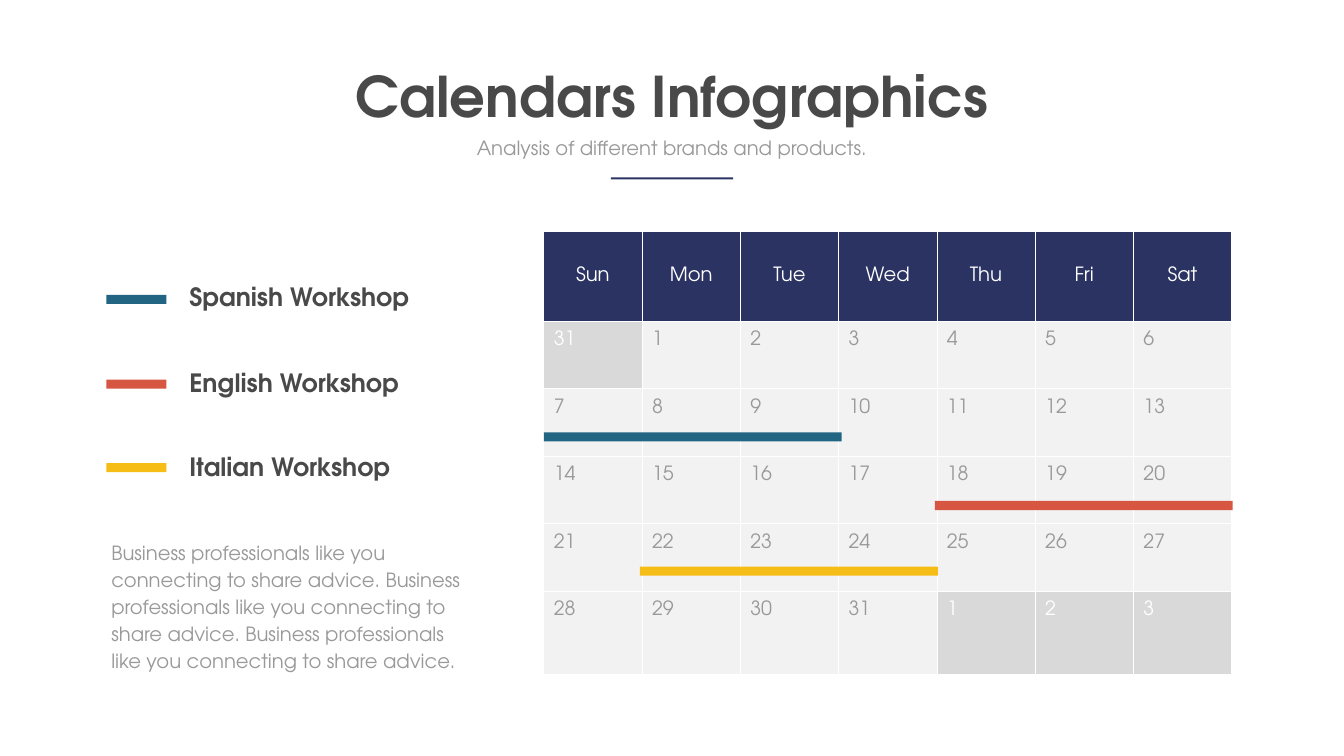
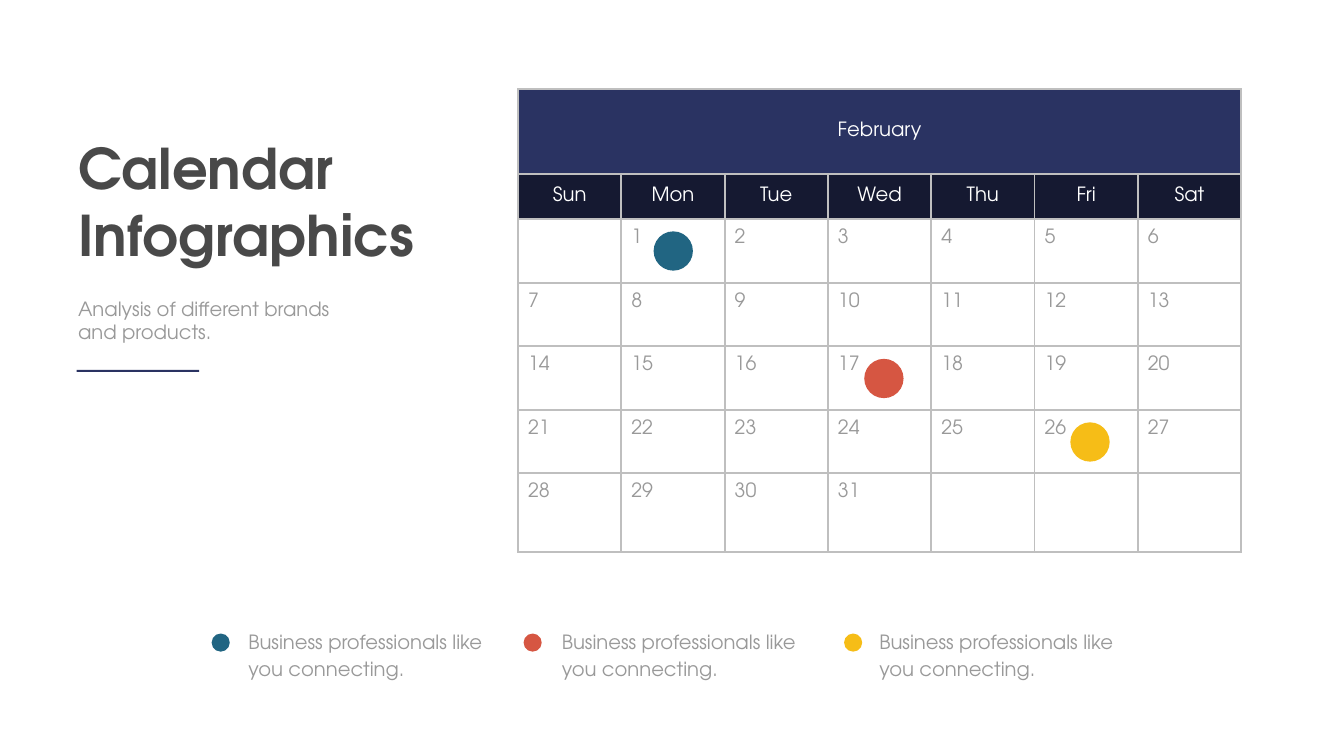
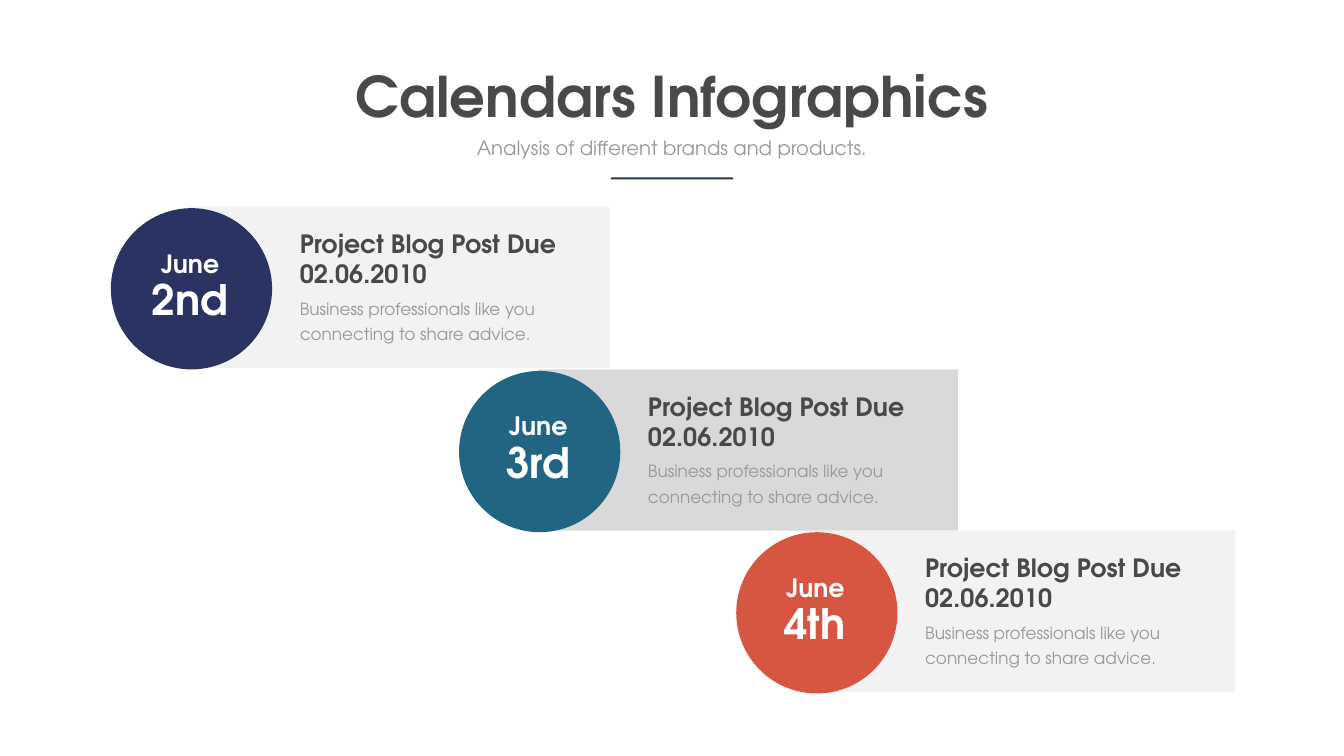
from dataclasses import dataclass

from lxml import etree
from pptx import Presentation
from pptx import util as u
from pptx.dml.color import RGBColor
from pptx.enum import shapes, text
from pptx.oxml.ns import qn


@dataclass(frozen=True)
class Theme:
    font: str = "TeX Gyre Adventor"
    # Colours
    white: str = "FFFFFF"
    dark: str = "494949"
    grey: str = "999999"
    navy: str = "2A3362"
    midnight: str = "151931"
    teal: str = "216582"
    red: str = "D65642"
    yellow: str = "F6BD17"
    pale: str = "F2F2F2"
    muted: str = "D9D9D9"
    rule: str = "BFBFBF"
    # Type sizes and line spacing in points
    title: int = 80
    ordinal: int = 60
    heading: int = 36
    body: int = 28
    small: int = 24
    body_spacing: float = 38.6
    small_spacing: float = 36.6


THEME = Theme()
ACCENTS = (THEME.teal, THEME.red, THEME.yellow)
RECT = shapes.MSO_SHAPE.RECTANGLE
OVAL = shapes.MSO_SHAPE.OVAL
CENTER = text.PP_ALIGN.CENTER
WEEKDAYS = ("Sun", "Mon", "Tue", "Wed", "Thu", "Fri", "Sat")
MONTH_DAYS = 31
SUBTITLE = "Analysis of different brands and products."
SENTENCE = "Business professionals like you connecting to share advice."


# Basic elements
def add_block(parent, kind, left, top, width, height, color):
    shape = parent.shapes.add_shape(
        kind, u.Inches(left), u.Inches(top), u.Inches(width), u.Inches(height))
    shape.shadow.inherit = False
    shape.fill.solid()
    shape.fill.fore_color.rgb = RGBColor.from_string(color)
    shape.line.fill.background()


def style_paragraph(para, size, color, bold=False, align=None, spacing=None):
    para.alignment = align
    if spacing:
        para.line_spacing = u.Pt(spacing)
    para.font.name = THEME.font
    para.font.size = u.Pt(size)
    para.font.bold = bold
    para.font.color.rgb = RGBColor.from_string(color)


def add_text(parent, words, left, top, width, height, size, color, wrap=True, **style):
    box = parent.shapes.add_textbox(
        u.Inches(left), u.Inches(top), u.Inches(width), u.Inches(height))
    frame = box.text_frame
    frame.word_wrap = wrap
    frame.auto_size = text.MSO_AUTO_SIZE.SHAPE_TO_FIT_TEXT
    frame.text = words
    for para in frame.paragraphs:
        style_paragraph(para, size, color, **style)


def add_underline(parent, left, top):
    add_block(parent, RECT, left, top, 2.43, 0.04, THEME.navy)


def add_centered_title(page):
    add_text(page, "Calendars Infographics", 6.89, 1.17, 12.89, 1.45,
             THEME.title, THEME.dark, wrap=False, bold=True, align=CENTER)
    add_text(page, SUBTITLE, 8.55, 2.65, 9.56, 0.57,
             THEME.body, THEME.grey, align=CENTER)
    add_underline(page, 12.12, 3.52)


# Calendar table
def set_borders(cell, color, points):
    properties = cell._tc.get_or_add_tcPr()
    for position, side in enumerate(("lnL", "lnR", "lnT", "lnB")):
        line = etree.Element(qn(f"a:{side}"), w=str(u.Pt(points)))
        fill = etree.SubElement(line, qn("a:solidFill"))
        etree.SubElement(fill, qn("a:srgbClr"), val=color)
        properties.insert(position, line)


def fill_cell(cell, words, fill, color, margins, align=None):
    cell.fill.solid()
    cell.fill.fore_color.rgb = RGBColor.from_string(fill)
    cell.margin_left, cell.margin_top, cell.margin_right, cell.margin_bottom = (
        u.Inches(margin) for margin in margins)
    if align == CENTER:
        cell.vertical_anchor = text.MSO_ANCHOR.MIDDLE
    cell.text = words
    style_paragraph(cell.text_frame.paragraphs[0], THEME.body, color, align=align)


def fill_header(cell, words, fill):
    fill_cell(cell, words, fill, THEME.white, (0.14, 0.07, 0.14, 0.07), CENTER)


def add_calendar(page, left, top, column_width, row_heights, border,
                 weekday_fill, day_fill, month=None, show_neighbours=False):
    width = column_width * len(WEEKDAYS)
    table = page.shapes.add_table(
        len(row_heights), len(WEEKDAYS), u.Inches(left), u.Inches(top),
        u.Inches(width), u.Inches(sum(row_heights))).table
    table.first_row = table.horz_banding = False
    for column in table.columns:
        column.width = u.Inches(column_width)
    for row, height in zip(table.rows, row_heights):
        row.height = u.Inches(height)

    header = 0
    if month:
        for column in range(len(WEEKDAYS)):
            fill_header(table.cell(0, column), "", THEME.navy)
        table.cell(0, 0).merge(table.cell(0, len(WEEKDAYS) - 1))
        fill_header(table.cell(0, 0), month, THEME.navy)
        header = 1
    for column, name in enumerate(WEEKDAYS):
        fill_header(table.cell(header, column), name, weekday_fill)

    # The first of the month falls on Monday
    last_row = len(row_heights) - 1
    for row in range(header + 1, last_row + 1):
        margins = (0.2, 0.2, 0.14, 0.07) if row == last_row else (0.2, 0.2, 0.1, 0.05)
        for column in range(len(WEEKDAYS)):
            day = (row - header - 1) * len(WEEKDAYS) + column
            cell = table.cell(row, column)
            if 1 <= day <= MONTH_DAYS:
                fill_cell(cell, str(day), day_fill, THEME.grey, margins)
            elif show_neighbours:
                neighbour = (day - 1) % MONTH_DAYS + 1
                fill_cell(cell, str(neighbour), THEME.muted, THEME.white, margins)
            else:
                fill_cell(cell, "", day_fill, THEME.grey, margins)
    for cell in table.iter_cells():
        set_borders(cell, *border)


# Date card
def add_date_card(page, left, top, ordinal, color, panel):
    card = page.shapes.add_group_shape()
    add_block(card, RECT, left, top, 8.33, 3.2, panel)
    add_block(card, OVAL, left - 1.57, top + 0.03, 3.2, 3.2, color)
    add_text(card, "June", left - 1.06, top + 0.77, 2.12, 0.71,
             THEME.heading, THEME.white, bold=True, align=CENTER)
    add_text(card, ordinal, left - 0.95, top + 1.28, 1.9, 1.11,
             THEME.ordinal, THEME.white, wrap=False, bold=True, align=CENTER)
    add_text(card, SENTENCE, left + 2.08, top + 1.66, 5.15, 1.13,
             THEME.small, THEME.grey, spacing=THEME.small_spacing)
    add_text(card, "Project Blog Post Due 02.06.2010", left + 2.08, top + 0.38,
             5.49, 1.31, THEME.heading, THEME.dark, bold=True)


# Slides
def build_workshops(page):
    add_centered_title(page)
    add_calendar(page, 10.79, 4.58, 1.95, (1.79, *[1.34] * 4, 1.66),
                 (THEME.white, 1), THEME.navy, THEME.pale, show_neighbours=True)
    event_places = ((10.79, 8.58), (18.55, 9.94), (12.7, 11.24))
    for (left, top), color in zip(event_places, ACCENTS):
        add_block(page, RECT, left, top, 5.91, 0.18, color)
    add_text(page, " ".join([SENTENCE] * 3), 2.11, 10.61, 7.31, 2.79,
             THEME.body, THEME.grey, spacing=THEME.body_spacing)
    legend = (("Spanish", 5.85, 5.53), ("English", 7.53, 7.24), ("Italian", 9.19, 8.9))
    for (language, key_top, label_top), color in zip(legend, ACCENTS):
        add_block(page, RECT, 2.11, key_top, 1.19, 0.18, color)
        add_text(page, f"{language} Workshop", 3.66, label_top, 4.89, 0.71,
                 THEME.heading, THEME.dark, bold=True)


def build_february(page):
    legend = page.shapes.add_group_shape()
    legend_places = ((4.2, 4.83), (10.39, 11.05), (16.75, 17.35))
    for (dot_left, label_left), color in zip(legend_places, ACCENTS):
        add_block(legend, OVAL, dot_left, 12.57, 0.36, 0.36, color)
        add_text(legend, "Business professionals like you connecting.",
                 label_left, 12.38, 4.89, 1.18,
                 THEME.body, THEME.grey, spacing=THEME.body_spacing)

    heading = page.shapes.add_group_shape()
    add_text(heading, "Calendar\nInfographics", 1.45, 2.6, 6.93, 2.79,
             THEME.title, THEME.dark, bold=True)
    add_text(heading, SUBTITLE, 1.45, 5.84, 5.34, 1.04, THEME.body, THEME.grey)
    add_underline(heading, 1.52, 7.34)

    add_calendar(page, 10.28, 1.77, 2.05, (1.68, 0.9, *[1.26] * 4, 1.56),
                 (THEME.rule, 3), THEME.midnight, THEME.white, month="February")
    marker_places = ((12.97, 4.59), (17.15, 7.12), (21.24, 8.38))
    for (left, top), color in zip(marker_places, ACCENTS):
        add_block(page, OVAL, left, top, 0.78, 0.78, color)


def build_june(page):
    add_centered_title(page)
    add_date_card(page, 3.77, 4.1, "2nd", THEME.navy, THEME.pale)
    add_date_card(page, 10.68, 7.33, "3rd", THEME.teal, THEME.muted)
    add_date_card(page, 16.18, 10.53, "4th", THEME.red, THEME.pale)


def main():
    deck = Presentation()
    deck.slide_width, deck.slide_height = u.Inches(26.67), u.Inches(15)
    blank = deck.slide_layouts[6]
    for build in (build_workshops, build_february, build_june):
        build(deck.slides.add_slide(blank))
    deck.save("out.pptx")


if __name__ == "__main__":
    main()
